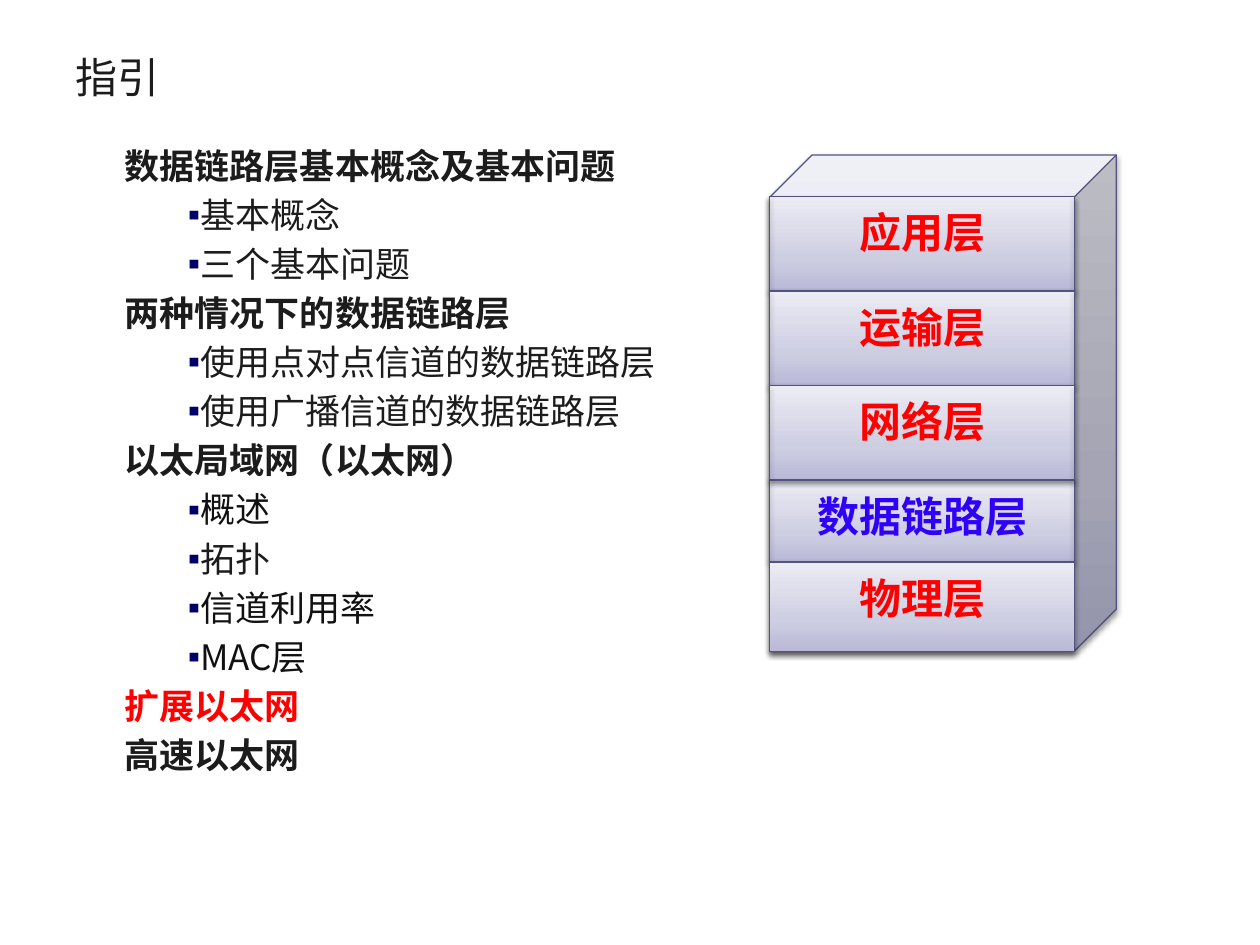
from pptx import Presentation
from pptx.dml.color import RGBColor
from pptx.enum.shapes import MSO_CONNECTOR, MSO_SHAPE
from pptx.enum.text import MSO_ANCHOR, MSO_AUTO_SIZE, PP_ALIGN
from pptx.oxml import parse_xml
from pptx.oxml.ns import nsdecls, qn
from pptx.util import Inches, Pt

THEME = {
    "ink": "1C1C1C", "soft_ink": "111111", "accent": "FF0000", "current": "3001F9",
    "bullet": "000066", "edge": "535380",
    "gradient": [(0, "B9B9D7"), (35, "CECEE2"), (100, "ECECF4")],
    "cjk": "Noto Sans CJK SC", "latin": "Karla",
    "heading_size": 24, "list_size": 20,
}


def write(paragraph, text, size, color, bold=False, face=THEME["cjk"]):
    run = paragraph.add_run()
    run.text = text
    formats = {"size": Pt(size), "bold": bold, "name": face}
    for key, value in formats.items():
        setattr(run.font, key, value)
    run.font.color.rgb = RGBColor.from_string(color)
    run.font._element.find(qn("a:latin")).addnext(
        parse_xml(f'<a:ea {nsdecls("a")} typeface="{face}"/>'))


def finish(part, filled=True):
    """Edge line, soft shadow below and, on faces, the vertical gradient."""
    part.line.color.rgb = RGBColor.from_string(THEME["edge"])
    part.line.width = Pt(0.75)
    if filled:
        part.fill.gradient()
        gradient = part._element.spPr.find(qn("a:gradFill"))
        stops = "".join(f'<a:gs pos="{pos * 1000}"><a:srgbClr val="{color}"/></a:gs>'
                        for pos, color in THEME["gradient"])
        gradient.replace(gradient.find(qn("a:gsLst")),
                         parse_xml(f'<a:gsLst {nsdecls("a")}>{stops}</a:gsLst>'))
        gradient.find(qn("a:lin")).set("ang", "16200000")
    part._element.spPr.append(parse_xml(
        f'<a:effectLst {nsdecls("a")}><a:outerShdw blurRad="{Pt(3.1)}" dist="{Pt(1.6)}" '
        'dir="5400000" rotWithShape="0"><a:srgbClr val="000000"><a:alpha val="38000"/>'
        '</a:srgbClr></a:outerShdw></a:effectLst>'))


deck = Presentation()
deck.slide_width, deck.slide_height = Inches(10), Inches(7.5)
slide = deck.slides.add_slide(deck.slide_layouts[1])
heading, outline = slide.placeholders

# Title and outline areas
for area, top, height, anchor in [(heading, 0.3, 0.61, MSO_ANCHOR.MIDDLE),
                                  (outline, 1.07, 5.23, MSO_ANCHOR.TOP)]:
    place = {"left": Inches(0.5), "top": Inches(top),
             "width": deck.slide_width - Inches(1), "height": Inches(height)}
    for key, value in place.items():
        setattr(area, key, value)
    frame = area.text_frame
    frame.auto_size = MSO_AUTO_SIZE.NONE
    frame.vertical_anchor = anchor

heading.text_frame.paragraphs[0].alignment = PP_ALIGN.LEFT
write(heading.text_frame.paragraphs[0], "指引", THEME["heading_size"], THEME["ink"])

# Outline: level, text, colour
topics = [
    (0, "数据链路层基本概念及基本问题", "ink"),
    (1, "基本概念", "ink"),
    (1, "三个基本问题", "ink"),
    (0, "两种情况下的数据链路层", "ink"),
    (1, "使用点对点信道的数据链路层", "ink"),
    (1, "使用广播信道的数据链路层", "ink"),
    (0, "以太局域网（以太网）", "ink"),
    (1, "概述", "soft_ink"),
    (1, "拓扑", "ink"),
    (1, "信道利用率", "soft_ink"),
    (1, "MAC层", "soft_ink"),
    (0, "扩展以太网", "accent"),
    (0, "高速以太网", "ink"),
]
outline.text_frame.margin_top = Inches(0.08)
for number, (level, text, color) in enumerate(topics):
    frame = outline.text_frame
    topic = frame.add_paragraph() if number else frame.paragraphs[0]
    formats = {"level": level, "alignment": PP_ALIGN.LEFT,
               "line_spacing": Pt(THEME["list_size"] * 1.2),
               "space_before": Pt(THEME["list_size"] * 0.2)}
    for key, value in formats.items():
        setattr(topic, key, value)
    margin, indent = [(0.38, 0.01), (0.9, -0.01)][level]
    props = topic._p.get_or_add_pPr()
    props.set("marL", str(Inches(margin)))
    props.set("indent", str(Inches(indent)))
    if level:
        props.append(parse_xml(f'<a:buClr {nsdecls("a")}><a:srgbClr val="{THEME["bullet"]}"/></a:buClr>'))
        props.append(parse_xml(f'<a:buChar {nsdecls("a")} char="▪"/>'))
    else:
        props.append(parse_xml(f'<a:buNone {nsdecls("a")}/>'))
    write(topic, text, THEME["list_size"], THEME[color], bold=level == 0)

# Protocol stack: a block whose front face is divided into layers
left, right, face_top = 6.11, 8.53, 1.56
stack = slide.shapes.add_group_shape()
block = stack.shapes.add_shape(MSO_SHAPE.CUBE, Inches(left), Inches(1.23), Inches(2.75), Inches(3.94))
block.adjustments[0] = 0.122
finish(block)

# Layers from back to front: name, top, height, colour, face, extra edges
row = 0.75
layers = [
    ("应用层", face_top, row, "accent", "cjk", ("bottom", "left", "right")),
    ("运输层", face_top + row, row, "accent", "cjk", ("bottom", "left", "right")),
    ("数据链路层", face_top + 3 * row, 0.65, "current", "latin", ("top", "left", "right")),
    ("网络层", face_top + 2 * row, row, "accent", "cjk", ("left", "right")),
    ("物理层", face_top + 3 * row + 0.65, 0.71, "accent", "latin", ()),
]
for name, top, height, color, face, sides in layers:
    layer = stack.shapes.add_shape(MSO_SHAPE.RECTANGLE, Inches(left), Inches(top),
                                   Inches(right - left), Inches(height))
    finish(layer)
    layer.text_frame.word_wrap = True
    layer.text_frame.vertical_anchor = MSO_ANCHOR.TOP
    layer.text_frame.margin_top = Inches(0.08)
    label = layer.text_frame.paragraphs[0]
    label.alignment = PP_ALIGN.CENTER
    label.line_spacing = Pt(THEME["heading_size"] * 1.2)
    write(label, name, THEME["heading_size"], THEME[color], True, THEME[face])

    bottom = top + height
    ends = {"top": (left, top, right, top), "bottom": (left, bottom, right, bottom),
            "left": (left, top, left, bottom), "right": (right, top, right, bottom)}
    for side in sides:
        edge = stack.shapes.add_connector(MSO_CONNECTOR.STRAIGHT, *map(Inches, ends[side]))
        finish(edge, filled=False)

deck.save("out.pptx")
